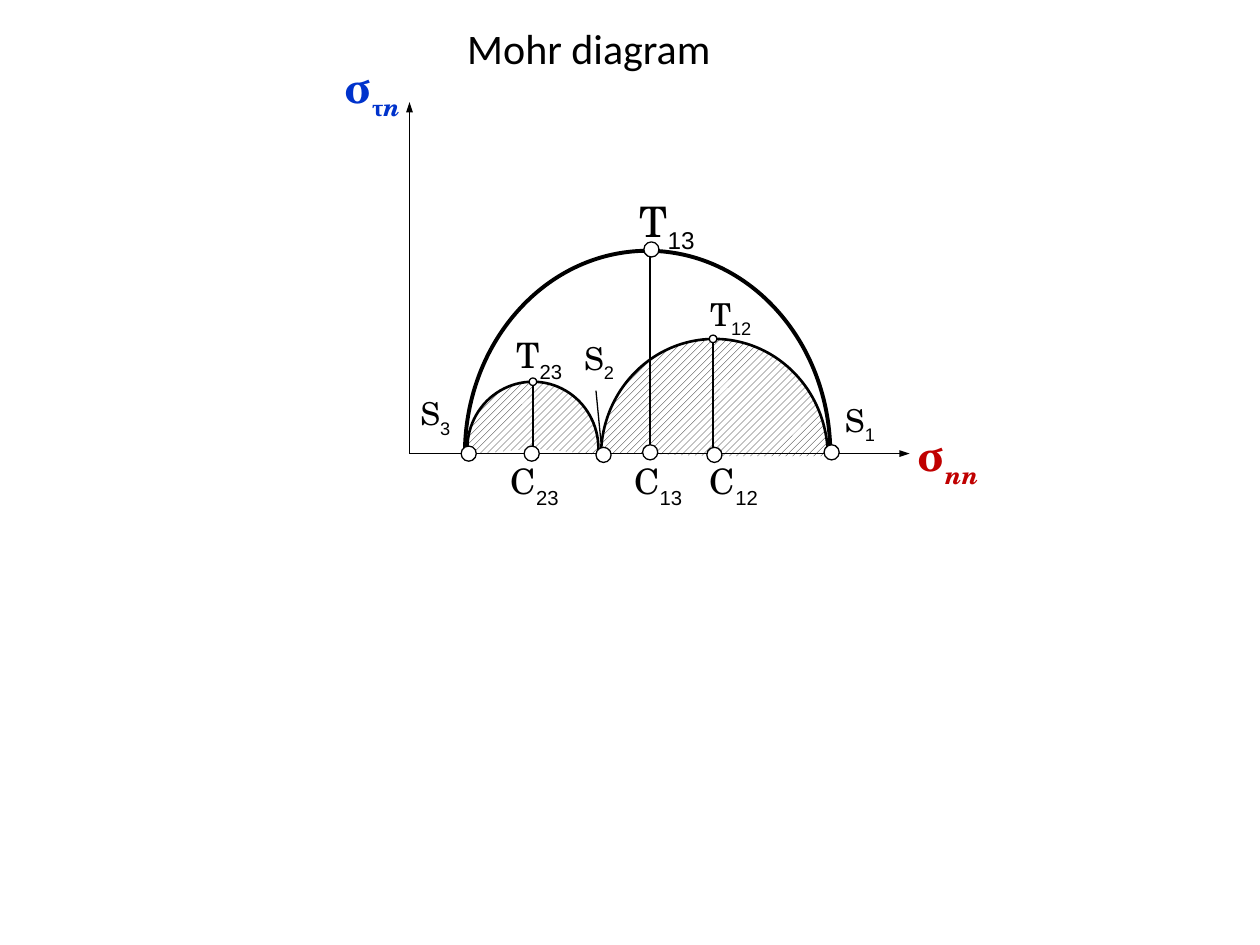
"""Build the Mohr diagram slide."""
from lxml.etree import SubElement
from pptx import Presentation
from pptx.dml.color import RGBColor
from pptx.enum.dml import MSO_PATTERN
from pptx.enum.shapes import MSO_CONNECTOR, MSO_SHAPE
from pptx.enum.text import PP_ALIGN
from pptx.oxml.ns import qn
from pptx.util import Inches, Pt

COLORS = {"black": "000000", "white": "FFFFFF", "red": "C00000", "blue": "0033CC"}
RGB = {name: RGBColor.from_string(value) for name, value in COLORS.items()}
SERIF = "TeX Gyre Schola"

prs = Presentation()
prs.slide_width, prs.slide_height = Inches(10), Inches(7.5)
s = prs.slides.add_slide(prs.slide_layouts[6])


def add_text(text, x, y, w, h, size=18, font=SERIF, color="black", bold=False,
             align=PP_ALIGN.CENTER, subs=()):
    tf = s.shapes.add_textbox(Inches(x), Inches(y), Inches(w), Inches(h)).text_frame
    tf.word_wrap = True
    p = tf.paragraphs[0]
    p.alignment = align
    for i, (part, face, italic) in enumerate([(text, font, False), *subs]):
        r = p.add_run()
        r.text = part
        r.font.name, r.font.size = face, Pt(size)
        r.font.bold, r.font.italic = bold, italic
        r.font.color.rgb = RGB[color]
        if i:
            r._r.get_or_add_rPr().set("baseline", "-30000")


def add_line(x1, y1, x2, y2, arrow=False):
    line = s.shapes.add_connector(MSO_CONNECTOR.STRAIGHT, Inches(x1), Inches(y1),
                                  Inches(x2), Inches(y2))
    line.line.color.rgb = RGB["black"]
    line.line.width = Pt(0.75)
    if arrow:
        SubElement(line.line._get_or_add_ln(), qn("a:tailEnd"), type="triangle", w="sm")
    SubElement(line._element.spPr, qn("a:effectLst"))


arcs = [(5.67, 3.62, 0.9, 0.93, 181.8, 0, 1.5, True),
        (4.23, 3.56, 0.52, 0.53, 174.6, 5.4, 1.5, True),
        (5.14, 3.6, 1.45, 1.61, 180, 358.6, 2.25, False)]
for cx, cy, rx, ry, start, end, width, hatched in arcs:
    arc = s.shapes.add_shape(MSO_SHAPE.ARC, Inches(cx - rx), Inches(cy - ry),
                             Inches(2 * rx), Inches(2 * ry))
    arc.adjustments[0], arc.adjustments[1] = start * 0.6, end * 0.6
    arc.shadow.inherit = False
    arc.line.color.rgb = RGB["black"]
    arc.line.width = Pt(width)
    if hatched:
        arc.fill.patterned()
        arc.fill.pattern = MSO_PATTERN.WIDE_UPWARD_DIAGONAL
        arc.fill.fore_color.rgb = RGB["black"]
        arc.fill.back_color.rgb = RGB["white"]
    else:
        arc.fill.background()

for x, y in [(7.22, 3.6), (3.25, 0.81)]:
    add_line(3.25, 3.6, x, y, arrow=True)

labels = [("S", "1", 6.44, 3.13, 0.77, 0.53, 18),
          ("S", "2", 4.38, 2.64, 0.75, 0.47, 18),
          ("S", "3", 3.02, 3.08, 0.87, 0.51, 18),
          ("T", "12", 5.28, 2.29, 1.04, 0.52, 18),
          ("T", "13", 4.75, 1.5, 1.09, 0.44, 24),
          ("T", "23", 3.69, 2.6, 1.18, 0.44, 20),
          ("C", "12", 5.33, 3.6, 0.99, 0.46, 20),
          ("C", "13", 4.74, 3.6, 0.97, 0.46, 20),
          ("C", "23", 3.78, 3.6, 0.93, 0.43, 20)]
for letter, index, x, y, w, h, size in labels:
    add_text(letter, x, y, w, h, size=size, subs=[(index, "Arial", False)])

add_text("σ", 7.06, 3.36, 0.93, 0.55, size=24, color="red", bold=True,
         subs=[("nn", SERIF, True)])
add_text("σ", 2.49, 0.44, 0.93, 0.55, size=24, color="blue", bold=True,
         subs=[("τ", "Times New Roman", False), ("n", SERIF, True)])

for x1, y1, x2, y2 in [(5.16, 1.99, 5.16, 3.55), (5.66, 2.68, 5.66, 3.57),
                       (4.23, 3.04, 4.23, 3.56), (4.73, 3.1, 4.77, 3.51)]:
    add_line(x1, y1, x2, y2)

dots = [(6.54, 3.53, 0.12), (5.1, 3.53, 0.12), (5.61, 3.55, 0.12), (3.66, 3.54, 0.12),
        (4.16, 3.54, 0.12), (4.73, 3.55, 0.12), (5.11, 1.92, 0.12),
        (5.63, 2.66, 0.06), (4.2, 3, 0.06)]
for x, y, d in dots:
    dot = s.shapes.add_shape(MSO_SHAPE.OVAL, Inches(x), Inches(y), Inches(d), Inches(d))
    dot.shadow.inherit = False
    dot.fill.solid()
    dot.fill.fore_color.rgb = RGB["white"]
    dot.line.color.rgb = RGB["black"]
    dot.line.width = Pt(0.75)

add_text("Mohr diagram", 3.61, 0.13, 4.39, 0.5, size=24, font="Calibri",
         align=PP_ALIGN.LEFT)

prs.save("out.pptx")
